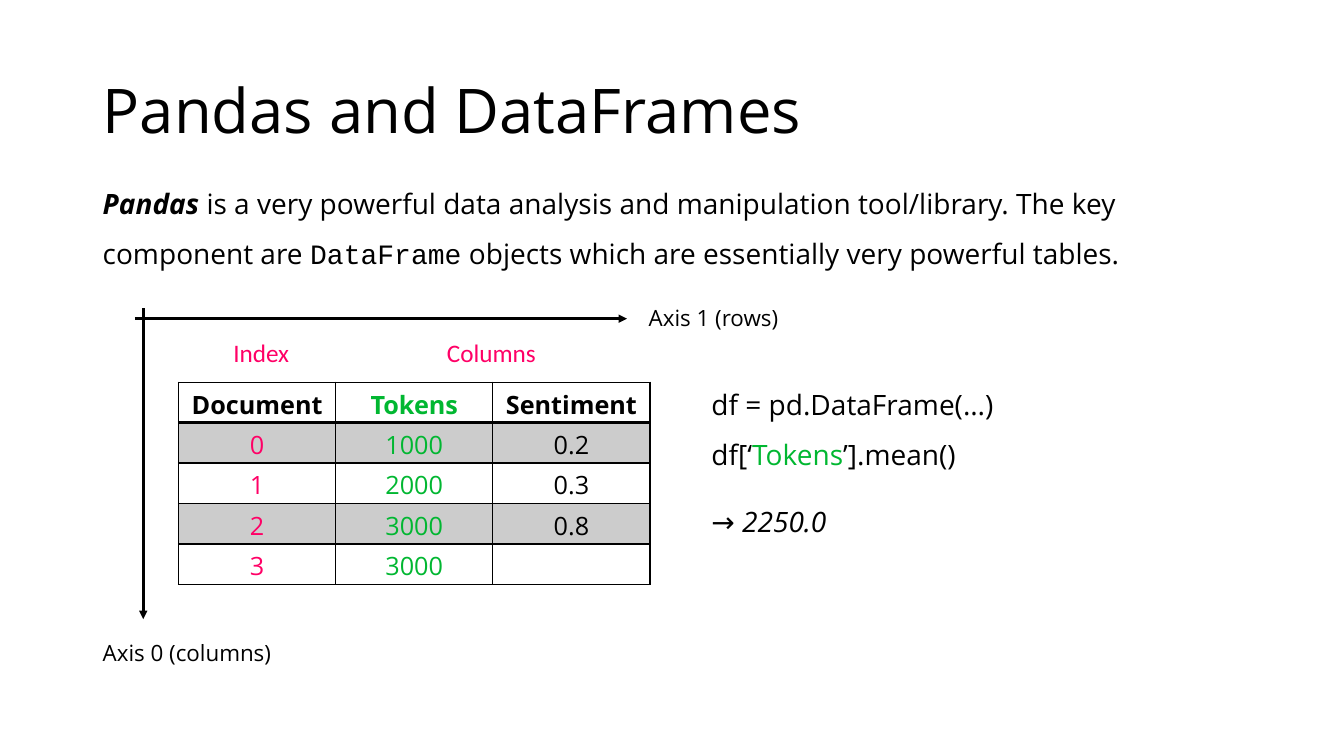
"""Build a slide that explains table axes, index and columns in Pandas."""
from dataclasses import dataclass

import lxml.etree
import pptx
import pptx.dml.color
import pptx.enum.shapes
import pptx.enum.text
import pptx.oxml
import pptx.oxml.ns
import pptx.util

Cm = pptx.util.Cm
Pt = pptx.util.Pt
Align = pptx.enum.text.PP_ALIGN
Anchor = pptx.enum.text.MSO_ANCHOR
qn = pptx.oxml.ns.qn


@dataclass(frozen=True)
class Theme:
    sans: str = "Open Sans"
    label: str = "Calibri"
    mono: str = "Courier New"
    ink: str = "000000"
    pink: str = "FF0066"
    green: str = "01B731"
    title: int = 44
    body: int = 20
    cell: int = 18
    axis: int = 16
    shade: int = 20


class Deck:
    def __init__(self, theme):
        self.theme = theme
        self.show = pptx.Presentation()
        self.show.slide_width = Cm(33.87)
        self.show.slide_height = Cm(19.05)
        self.slide = self.show.slides.add_slide(self.show.slide_layouts[6])

    def run(self, para, text, size, color=None, font=None, bold=False, italic=False):
        run = para.add_run()
        run.text = text
        style = run.font
        style.name = font or self.theme.sans
        style.size = Pt(size)
        style.bold = bold
        style.italic = italic
        style.color.rgb = pptx.dml.color.RGBColor.from_string(color or self.theme.ink)

    def text(self, box, paras, size, align=Align.LEFT, anchor=Anchor.TOP, lead=1.0, gap=0):
        frame = self.slide.shapes.add_textbox(*map(Cm, box)).text_frame
        frame.word_wrap = True
        frame.vertical_anchor = anchor
        for row, runs in enumerate(paras):
            para = frame.add_paragraph() if row else frame.paragraphs[0]
            para.alignment = align
            para.line_spacing = lead
            para.space_before = Pt(gap if row else 0)
            for words, style in runs:
                self.run(para, words, size, **style)

    def arrow(self, start, end):
        line = self.slide.shapes.add_connector(
            pptx.enum.shapes.MSO_CONNECTOR.STRAIGHT, *map(Cm, start + end))
        line.line.width = Pt(2)
        line.line.color.rgb = pptx.dml.color.RGBColor.from_string(self.theme.ink)
        props = line._element.spPr
        lxml.etree.SubElement(props.find(qn("a:ln")), qn("a:tailEnd"), type="triangle")
        lxml.etree.SubElement(props, qn("a:effectLst"))

    def edge(self, cell, side, width):
        props = cell._tc.get_or_add_tcPr()
        line = lxml.etree.SubElement(props, qn("a:ln" + side), w=str(Pt(width)))
        fill = lxml.etree.SubElement(line, qn("a:solidFill"))
        lxml.etree.SubElement(fill, qn("a:srgbClr"), val=self.theme.ink)

    def fill(self, cell, shaded):
        if not shaded:
            cell.fill.background()
            return
        cell.fill.solid()
        cell.fill.fore_color.rgb = pptx.dml.color.RGBColor.from_string(self.theme.ink)
        color = cell._tc.tcPr.find(qn("a:solidFill")).find(qn("a:srgbClr"))
        lxml.etree.SubElement(color, qn("a:alpha"), val=str(self.theme.shade * 1000))

    def table(self, box, rows, heads, colors):
        grid = self.slide.shapes.add_table(len(rows), len(rows[0]), *map(Cm, box)).table
        grid.first_row = grid.horz_banding = False
        for r, row in enumerate(rows):
            for c, words in enumerate(row):
                cell = grid.cell(r, c)
                for side in "LRTB":
                    heavy = (r, side) in ((0, "B"), (1, "T"))
                    self.edge(cell, side, 2 if heavy else 1)
                self.fill(cell, r % 2)
                para = cell.text_frame.paragraphs[0]
                para.alignment = Align.CENTER
                para.font.size = Pt(self.theme.cell)
                if words:
                    color = colors[c] if r else heads[c]
                    self.run(para, words, self.theme.cell, color, bold=r == 0)


look = Theme()
deck = Deck(look)
left, code = 2.34, 17.68

deck.text((left, 1.02, 29.21, 3.68), [[("Pandas and DataFrames", {})]],
          look.title, anchor=Anchor.MIDDLE, lead=0.9)
deck.text((left, 4.14, 28.42, 2.69), [[
    ("Pandas ", {"bold": True, "italic": True}),
    ("is a very powerful data analysis and manipulation tool/library. "
     "The key component are ", {}),
    ("DataFrame", {"font": look.mono}),
    (" objects which are essentially very powerful tables.", {}),
]], look.body, lead=1.5)

deck.table((4.5, 9.63, 11.88, 5.1), [
    ("Document", "Tokens", "Sentiment"),
    ("0", "1000", "0.2"),
    ("1", "2000", "0.3"),
    ("2", "3000", "0.8"),
    ("3", "3000", ""),
], (look.ink, look.green, look.ink), (look.pink, look.green, look.ink))

for words, x, width in (("Index", 4.5, 4.17), ("Columns", 8.41, 7.95)):
    deck.text((x, 8.38, width, 1.02), [[(words, {"color": look.pink, "font": look.label})]],
              look.cell, align=Align.CENTER)

deck.arrow((3.4, 8.03), (15.8, 8.03))
deck.arrow((3.61, 7.77), (3.61, 15.6))
for words, x, y in (("Axis 1 (rows)", 16.1, 7.54), ("Axis 0 (columns)", left, 15.98)):
    deck.text((x, y, 5.66, 0.94), [[(words, {})]], look.axis)

deck.text((code, 10.9, 10, 2.82), [
    [("df[‘", {}), ("Tokens", {"color": look.green}), ("’].mean()", {})],
    [("→ 2250.0", {"italic": True})],
], look.body, gap=24)
deck.text((code, 9.63, 10, 1.12), [[("df = pd.DataFrame(…)", {})]], look.body)

deck.show.save("out.pptx")
